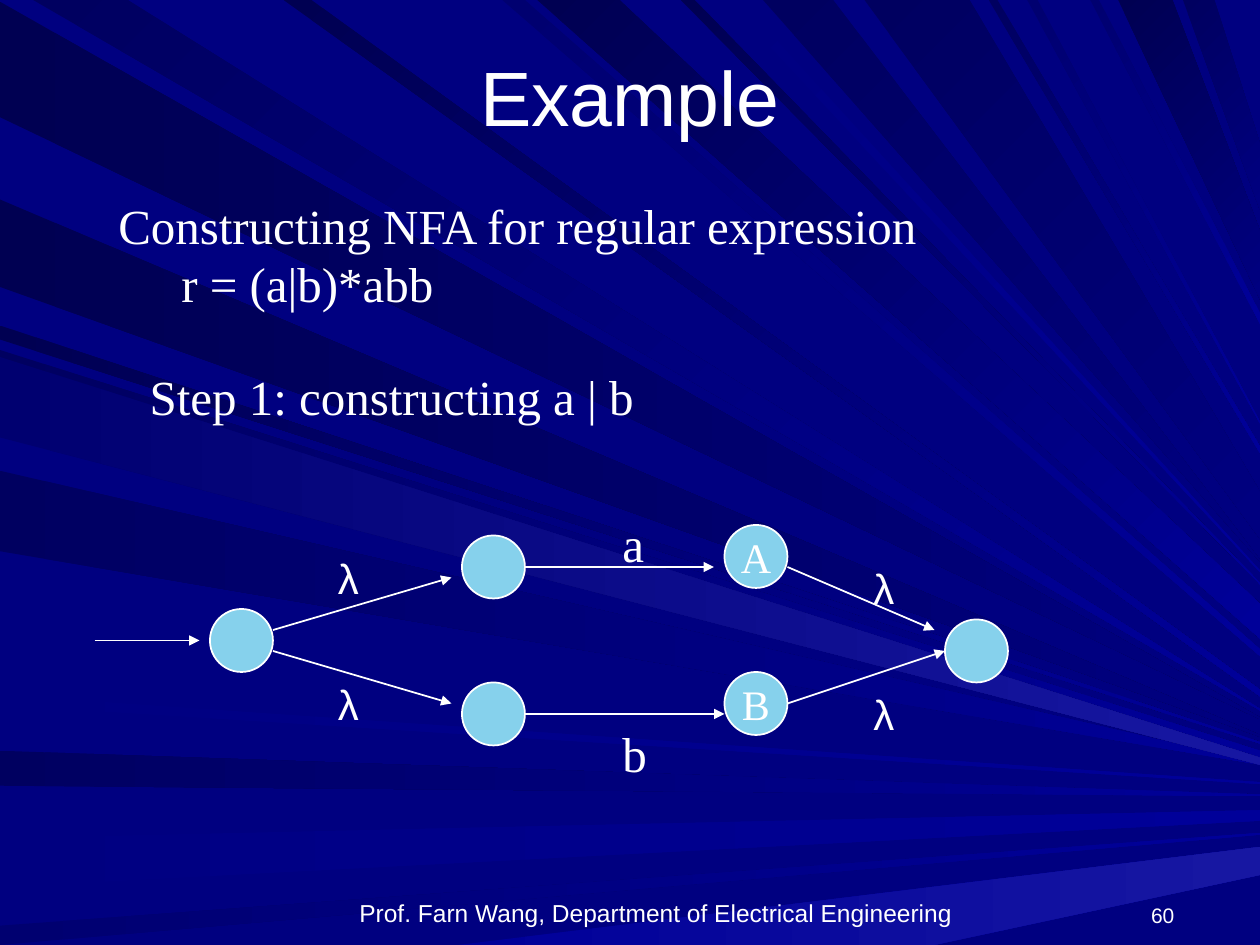
from lxml import etree
from pptx import Presentation
from pptx.dml.color import RGBColor
from pptx.enum import shapes, text
from pptx.oxml import ns
from pptx.util import Pt

WHITE = RGBColor(0xFF, 0xFF, 0xFF)
SKY = RGBColor(0x86, 0xD1, 0xEC)
NIGHT = RGBColor(0x00, 0x00, 0x52)
DUSK = RGBColor(0x00, 0x00, 0x60)
DIM = RGBColor(0x00, 0x00, 0x70)
NAVY = RGBColor(0x00, 0x00, 0x80)
ROYAL = RGBColor(0x00, 0x00, 0x99)
GLOW = RGBColor(0x17, 0x17, 0xA2)
SANS = "Arial"
SERIF = "Times New Roman"
WIDTH, HEIGHT = 720, 540
NODE_SIZE = 36

LEFT_RAYS = [
    (1, 67, 410, 1, NIGHT, NAVY),
    (479, 507, 463, 6, NAVY, ROYAL),
    (429, 449, 454, 1, DUSK, ROYAL),
    (529, HEIGHT, 476, 1, DIM, ROYAL),
    (186, 194, 424, 1, NIGHT, ROYAL),
    (114, 164, 420, 1, NIGHT, NAVY),
    (200, 246, 429, 4, DUSK, ROYAL),
    (269, 315, 436, 1, DUSK, ROYAL),
    (397, 403, 447, 1, NAVY, ROYAL),
    (204, 250, 433, 4, DIM, GLOW),
]
TOP_RAYS = [
    (19, 73, 405, 1, DUSK, ROYAL),
    (287, 300, 371, 4, DIM, ROYAL),
    (307, 354, 345, 20, NIGHT, ROYAL),
    (389, 397, 333, 1, NIGHT, ROYAL),
    (436, 476, 320, 1, DUSK, NAVY),
    (639, 670, 132, 39, NIGHT, NAVY),
    (676, 694, 82, 38, DUSK, NAVY),
    (162, 178, 394, 4, NIGHT, ROYAL),
    (415, 423, 326, 1, NAVY, ROYAL),
    (494, 554, 281, 27, DUSK, NAVY),
    (565, 570, 255, 4, DUSK, ROYAL),
    (587, 593, 241, 1, DIM, ROYAL),
    (623, 628, 179, 6, DIM, ROYAL),
]
FLOOR_RAY = (262, 534, 484, 16, ROYAL, GLOW)

STATES = {
    "start": (120, 348, ""), "a_in": (264, 306, ""), "a_out": (414, 300, "A"),
    "b_in": (264, 390, ""), "b_out": (414, 384, "B"), "end": (540, 354, ""),
}
TRANSITIONS = [
    (54, 366, 114, 366), (156, 360, 258, 330), (156, 372, 258, 402),
    (450, 324, 534, 360), (450, 402, 540, 372),
    (300, 324, 408, 324), (300, 408, 414, 408),
]
SYMBOLS = [("a", 290), ("b", 410)]
LAMBDA_COLUMNS = [(186, 312), (492, 318)]


def write(paragraph, words, size, font, align=text.PP_ALIGN.LEFT):
    """Add one white run to a paragraph."""
    paragraph.alignment = align
    run = paragraph.add_run()
    run.text = words
    run.font.size = Pt(size)
    run.font.name = font
    run.font.color.rgb = WHITE


def add_ray(group, base, tip, spread, near, far, angle=0):
    """Draw a shaded ray from its base to its tip on the right edge."""
    outline = [*base, (WIDTH, tip), (WIDTH, tip + spread)]
    corners = [(Pt(x), Pt(y)) for x, y in outline]
    builder = group.shapes.build_freeform(*corners[0])
    builder.add_line_segments(corners[1:], close=True)
    ray = builder.convert_to_shape()
    ray.shadow.inherit = False
    ray.line.fill.background()
    ray.fill.gradient()
    ray.fill.gradient_angle = angle
    for stop, color in zip(ray.fill.gradient_stops, (near, far)):
        stop.color.rgb = color


def add_backdrop(slide):
    """Fill the background and fan the rays out to its edges."""
    slide.background.fill.solid()
    slide.background.fill.fore_color.rgb = NAVY
    group = slide.shapes.add_group_shape()
    first, last, *style = FLOOR_RAY
    add_ray(group, [(last, HEIGHT), (first, HEIGHT)], *style)
    for first, last, *style in LEFT_RAYS:
        add_ray(group, [(0, last), (0, first)], *style)
    for first, last, *style in TOP_RAYS:
        add_ray(group, [(first, 0), (last, 0)], *style, angle=315)


def add_title(slide, words):
    """Place the title in front of the rays."""
    title = slide.shapes.title
    title.left, title.top, title.width, title.height = map(Pt, (36, 21.6, 648, 66.2))
    title.text_frame.vertical_anchor = text.MSO_ANCHOR.MIDDLE
    write(title.text_frame.paragraphs[0], words, 44, SANS, text.PP_ALIGN.CENTER)
    title.element.getparent().append(title.element)


def add_label(slide, lines, box, size=28, font=SERIF):
    """Add unwrapped left-aligned lines."""
    frame = slide.shapes.add_textbox(*map(Pt, box)).text_frame
    frame.word_wrap = False
    frame.auto_size = text.MSO_AUTO_SIZE.SHAPE_TO_FIT_TEXT
    for index, line in enumerate(lines):
        paragraph = frame.add_paragraph() if index else frame.paragraphs[0]
        write(paragraph, line, size, font)


def add_footer(slide, words, left, width, size, align):
    """Add a bottom-anchored footer text."""
    frame = slide.shapes.add_textbox(Pt(left), Pt(509.8), Pt(width), Pt(23.8)).text_frame
    frame.word_wrap = True
    frame.vertical_anchor = text.MSO_ANCHOR.BOTTOM
    write(frame.paragraphs[0], words, size, SANS, align)


def add_state(slide, left, top, name):
    """Draw an automaton state with an optional name."""
    state = slide.shapes.add_shape(
        shapes.MSO_SHAPE.OVAL, Pt(left), Pt(top), Pt(NODE_SIZE), Pt(NODE_SIZE))
    state.shadow.inherit = False
    state.fill.solid()
    state.fill.fore_color.rgb = SKY
    state.line.color.rgb = WHITE
    state.line.width = Pt(1)
    if name:
        state.text_frame.word_wrap = False
        state.text_frame.vertical_anchor = text.MSO_ANCHOR.MIDDLE
        write(state.text_frame.paragraphs[0], name, 24, SERIF, text.PP_ALIGN.CENTER)


def add_transition(slide, ends):
    """Draw an arrow between two points."""
    arrow = slide.shapes.add_connector(shapes.MSO_CONNECTOR.STRAIGHT, *map(Pt, ends))
    arrow.line.color.rgb = WHITE
    arrow.line.width = Pt(1)
    outline = arrow.element.spPr.find(ns.qn("a:ln"))
    etree.SubElement(outline, ns.qn("a:tailEnd"), type="triangle")
    etree.SubElement(arrow.element.spPr, ns.qn("a:effectLst"))


def main():
    """Build and save the slide."""
    deck = Presentation()
    deck.slide_width, deck.slide_height = Pt(WIDTH), Pt(HEIGHT)
    slide = deck.slides.add_slide(deck.slide_layouts[5])
    add_backdrop(slide)
    add_footer(slide, "Prof. Farn Wang, Department of Electrical Engineering",
               131.8, 486, 14, text.PP_ALIGN.CENTER)
    add_footer(slide, "60", 630, 48.2, 12, text.PP_ALIGN.RIGHT)
    add_title(slide, "Example")
    add_label(slide, ["Constructing NFA for regular expression", "\tr = (a|b)*abb"],
              (60.5, 108, 473.8, 74.9))
    add_label(slide, ["Step 1: constructing a | b"], (78.5, 206, 290.9, 41))
    for state in STATES.values():
        add_state(slide, *state)
    for ends in TRANSITIONS:
        add_transition(slide, ends)
    for symbol, top in SYMBOLS:
        add_label(slide, [symbol], (348.5, top, 27, 41))
    for left, top in LAMBDA_COLUMNS:
        for drop in (0, 72):
            add_label(slide, ["λ"], (left, top + drop, 27.4, 36), 24, SANS)
    deck.save("out.pptx")


if __name__ == "__main__":
    main()
